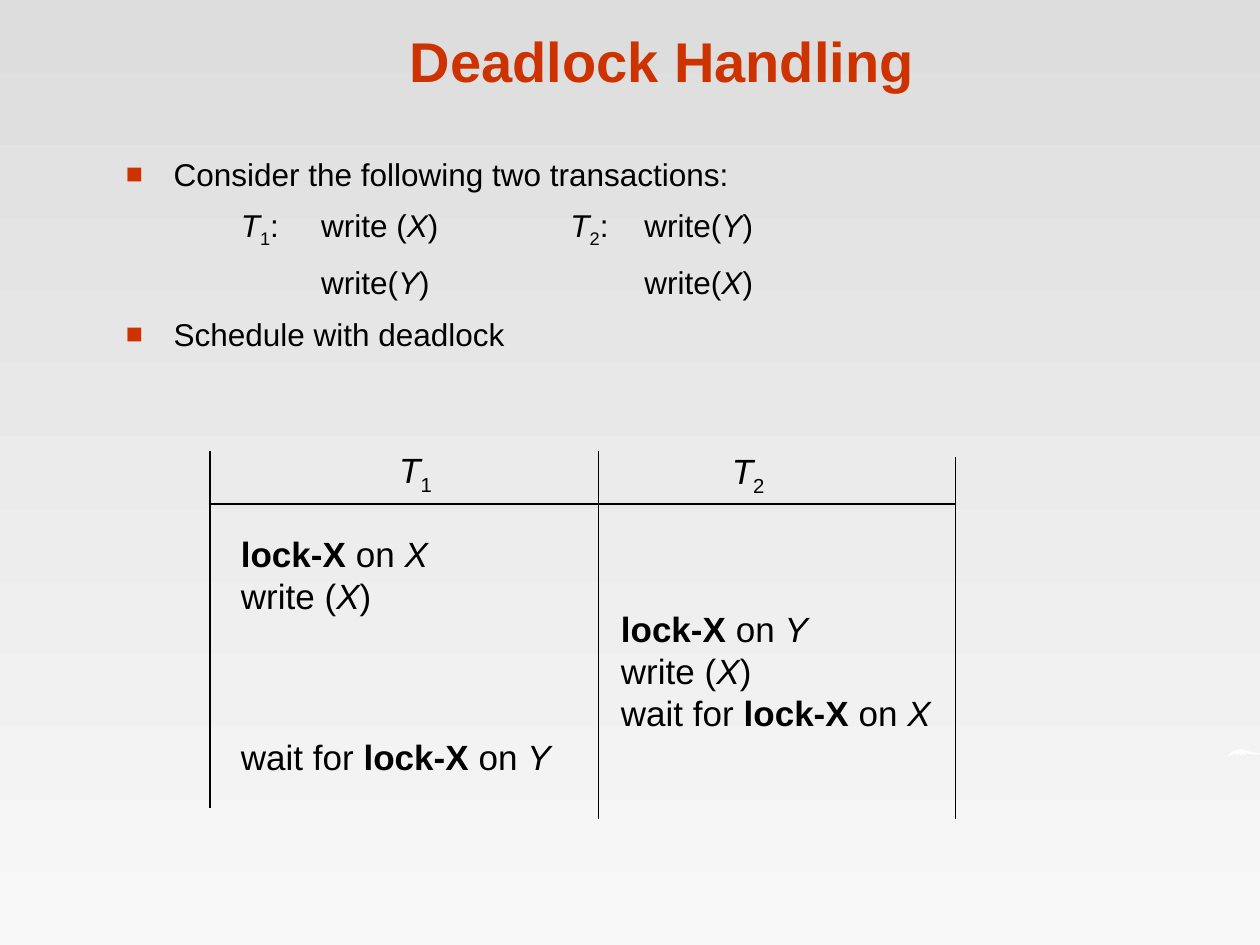
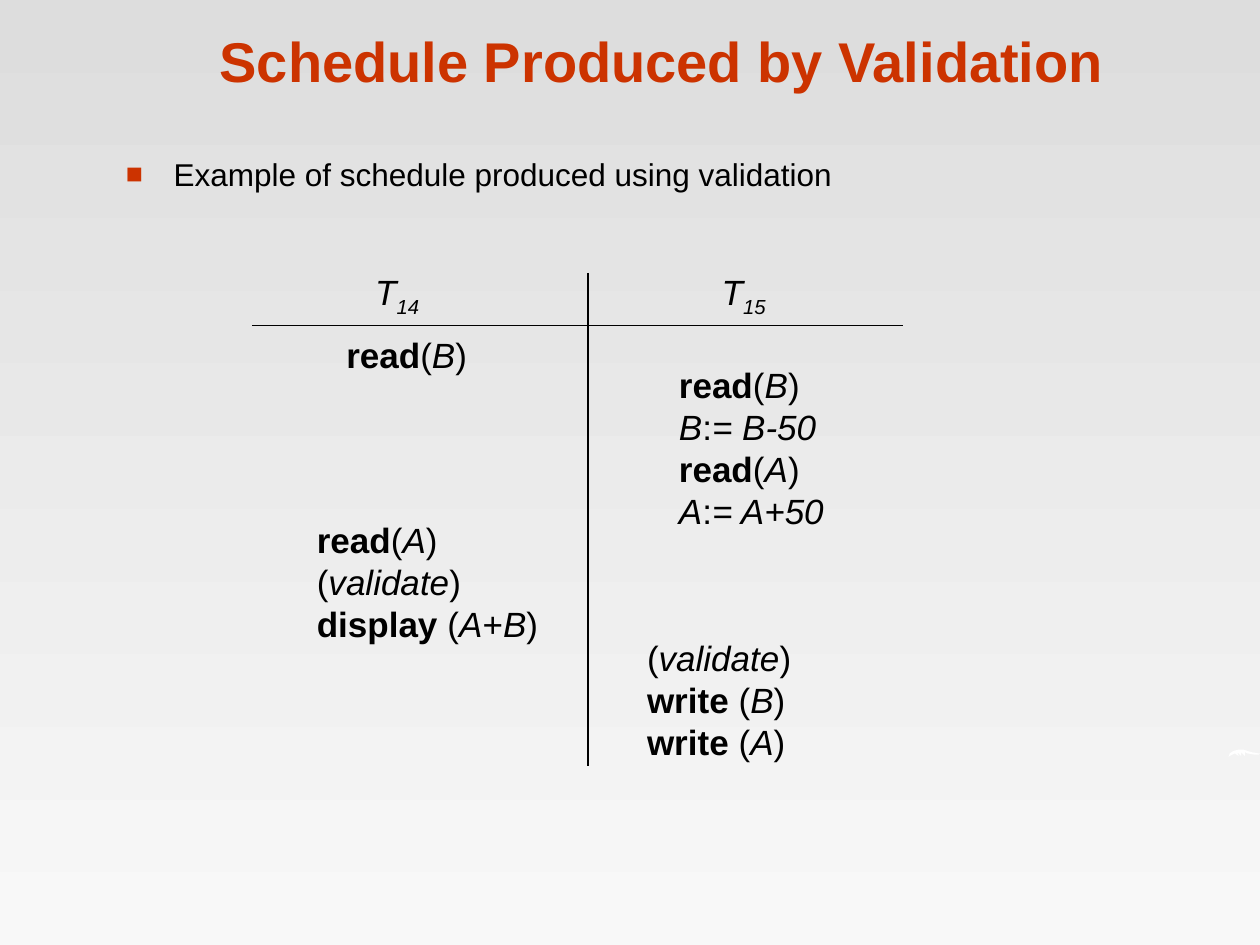
from dataclasses import dataclass
from itertools import groupby

from lxml.etree import SubElement
from pptx import Presentation
from pptx.dml.color import RGBColor
from pptx.enum.shapes import MSO_CONNECTOR
from pptx.enum.text import MSO_ANCHOR, MSO_AUTO_SIZE, PP_ALIGN
from pptx.oxml.ns import qn
from pptx.util import Inches, Pt

COLORS = {
    "title": "CC3300",
    "text": "000000",
    "rule": "000000",
    "swoosh": "FFFFFF",
    "sky": "DDDDDD",
    "ground": "F8F8F8",
}
FONT = "Arial"
COLUMNS, ROWS = 120, 90
CELL = Inches(10) // COLUMNS
INDENT = 4.56
TAB_STOPS = (10.95, 18.6, 42.35, 49.4)
HEADER_ROWS = 5
STEP_SLACK = 0.8
BOLD, ITALIC, SUBSCRIPT = "*", "_", "~"
SWOOSH_OUTLINE = (
    (0, 6), (1, 3), (4, 1), (8, 0), (12, 0), (18, 2), (24, 3), (25, 3),
    (24, 4), (21, 4), (15, 3), (13, 2), (13, 5), (10, 2), (10, 5), (7, 2),
    (8, 5), (5, 3), (3, 4), (1, 5),
)


@dataclass
class Box:
    """A region of the slide, measured in grid cells."""

    left: float
    top: float
    width: float
    height: float

    def inside(self, left, top, width, height):
        """Return a box placed relative to this one."""
        return Box(self.left + left, self.top + top, width, height)

    def lengths(self):
        """Return left, top, width and height as slide lengths."""
        return [cells(side) for side in (self.left, self.top, self.width, self.height)]


TITLE_BOX = Box(10.08, 1.5, 105.96, 8.04)
SWOOSH_BOX = Box(117, 71.4, 3, 0.6)


def cells(count):
    """Turn a number of grid cells into a slide length."""
    return round(count * CELL)


def color(name):
    """Look up a named colour."""
    return RGBColor.from_string(COLORS[name])


def write(para, markup, size, color_name="text"):
    """Write text in which *, _ and ~ toggle bold, italic and subscript."""
    para.font.name = FONT
    para.font.size = Pt(size)
    para.font.color.rgb = color(color_name)
    styled, marks = [], frozenset()
    for char in markup:
        if char in (BOLD, ITALIC, SUBSCRIPT):
            marks ^= {char}
        else:
            styled.append((marks, char))
    for style, group in groupby(styled, key=lambda pair: pair[0]):
        span = para.add_run()
        span.text = "".join(char for _, char in group)
        if BOLD in style:
            span.font.bold = True
        if ITALIC in style:
            span.font.italic = True
        if SUBSCRIPT in style:
            span._r.get_or_add_rPr().set("baseline", "-25000")


def paragraphs(frame, count):
    """Return the given number of paragraphs of a new text frame."""
    return [frame.paragraphs[0]] + [frame.add_paragraph() for _ in range(count - 1)]


def add_bullet(para):
    """Give a paragraph a hanging square bullet."""
    properties = para._p.get_or_add_pPr()
    properties.set("marL", str(cells(INDENT)))
    properties.set("indent", str(-cells(INDENT)))
    bullet_color = SubElement(properties, qn("a:buClr"))
    SubElement(bullet_color, qn("a:srgbClr"), val=COLORS["title"])
    SubElement(properties, qn("a:buSzPct"), val="90000")
    SubElement(properties, qn("a:buFont"), typeface=FONT)
    SubElement(properties, qn("a:buChar"), char="■")


def add_tab_stops(para):
    """Align the columns of a transaction listing."""
    tab_list = SubElement(para._p.get_or_add_pPr(), qn("a:tabLst"))
    for stop in TAB_STOPS:
        SubElement(tab_list, qn("a:tab"), pos=str(cells(stop)), algn="l")


def add_title(page, box, text):
    """Place the slide title."""
    frame = page.shapes.add_textbox(*box.lengths()).text_frame
    frame.word_wrap = True
    frame.vertical_anchor = MSO_ANCHOR.BOTTOM
    para = frame.paragraphs[0]
    para.alignment = PP_ALIGN.CENTER
    para.font.bold = True
    write(para, text, 32, "title")


def add_body(page, box, lines):
    """Place bulleted lines; lines that open with a tab are listings."""
    frame = page.shapes.add_textbox(*box.lengths()).text_frame
    frame.word_wrap = True
    for number, (para, line) in enumerate(zip(paragraphs(frame, len(lines)), lines)):
        if number:
            para.space_before = Pt(7.9)
        if line.startswith("\t"):
            add_tab_stops(para)
        else:
            add_bullet(para)
        write(para, line, 18)


def add_swoosh(page, box):
    """Draw the small white stroke at the right edge."""
    left, top, _, _ = box.lengths()
    builder = page.shapes.build_freeform(*SWOOSH_OUTLINE[0], scale=Inches(0.01))
    builder.add_line_segments(SWOOSH_OUTLINE[1:], close=True)
    swoosh = builder.convert_to_shape(left, top)
    swoosh.shadow.inherit = False
    swoosh.fill.solid()
    swoosh.fill.fore_color.rgb = color("swoosh")
    swoosh.line.fill.background()


def add_rule(page, box):
    """Draw a thin straight rule across a box without width or height."""
    left, top, width, height = box.lengths()
    rule = page.shapes.add_connector(
        MSO_CONNECTOR.STRAIGHT, left, top, left + width, top + height
    )
    rule.line.color.rgb = color("rule")
    rule.line.width = Pt(0.75)
    SubElement(rule._element.spPr, qn("a:effectLst"))


def add_schedule(page, box, dividers, steps):
    """Draw a schedule: header rule, column dividers and groups of steps."""
    add_rule(page, box.inside(0, HEADER_ROWS, box.width, 0))
    for column, top, bottom in dividers:
        add_rule(page, box.inside(column, top, 0, bottom - top))
    for left, top, width, lines in steps:
        place = box.inside(left, top, width + STEP_SLACK, 4 * len(lines) + 1.2)
        frame = page.shapes.add_textbox(*place.lengths()).text_frame
        frame.word_wrap = True
        frame.auto_size = MSO_AUTO_SIZE.SHAPE_TO_FIT_TEXT
        for para, line in zip(paragraphs(frame, len(lines)), lines):
            write(para, line, 20)


def paint_background(master):
    """Shade the master from top to bottom."""
    fill = master.background.fill
    fill.gradient()
    fill.gradient_angle = 270
    for stop, name, position in zip(fill.gradient_stops, ("sky", "ground"), (0, 1)):
        stop.color.rgb = color(name)
        stop.position = position


def start_page(deck, title):
    """Add a blank slide with the shared stroke and title."""
    page = deck.slides.add_slide(deck.slide_layouts[6])
    add_swoosh(page, SWOOSH_BOX)
    add_title(page, TITLE_BOX, title)
    return page


def build_deadlock(deck):
    """Build the slide on deadlock handling."""
    page = start_page(deck, "Deadlock Handling")
    add_body(page, Box(10.8, 14.16, 100.56, 64.32), [
        "Consider the following two transactions:",
        "\t_T_~1~:\twrite (_X_)\t_T_~2~:\twrite(_Y_)",
        "\t\twrite(_Y_)\t\twrite(_X_)",
        "Schedule with deadlock",
    ])
    add_schedule(
        page,
        Box(20, 43, 71, 35),
        [(0, 0, 34), (37, 0, 35), (71, 0.5, 35)],
        [
            (16.84, -0.88, 5.52, ["_T_~1~"]),
            (48.52, -0.76, 5.52, ["_T_~2~"]),
            (1.76, 7.16, 20.16, ["*lock-X* on _X_", "write (_X_)"]),
            (37.96, 14.24, 31.92,
             ["*lock-X* on _Y_", "write (_X_)", "wait for *lock-X* on _X_"]),
            (1.76, 26.48, 31.92, ["wait for *lock-X* on _Y_"]),
        ],
    )


def build_validation(deck):
    """Build the slide on the schedule produced by validation."""
    page = start_page(deck, "Schedule Produced by Validation")
    add_body(page, Box(10.8, 14.16, 102.96, 63.96),
             ["Example of schedule produced using validation"])
    add_schedule(
        page,
        Box(24, 26, 62, 47),
        [(32, 0, 47)],
        [
            (10.56, -0.8, 6.6, ["_T~14~_"]),
            (43.56, -0.8, 6.6, ["_T~15~_"]),
            (7.8, 5.2, 13.92, ["*read*(_B_)"]),
            (39.48, 8, 16.32,
             ["*read*(_B_)", "_B_:_= B-50_", "*read*(_A_)", "_A_:_= A+50_"]),
            (5, 22.8, 23.4,
             ["*read*(_A_)", "(_validate_)", "*display* (_A_+_B_)"]),
            (36.44, 34, 16.08,
             ["(_validate_)", "*write* (_B_)", "*write* (_A_)"]),
        ],
    )


def main():
    """Build and save the deck."""
    deck = Presentation()
    deck.slide_width = COLUMNS * CELL
    deck.slide_height = ROWS * CELL
    paint_background(deck.slide_master)
    build_deadlock(deck)
    build_validation(deck)
    deck.save("out.pptx")


if __name__ == "__main__":
    main()
